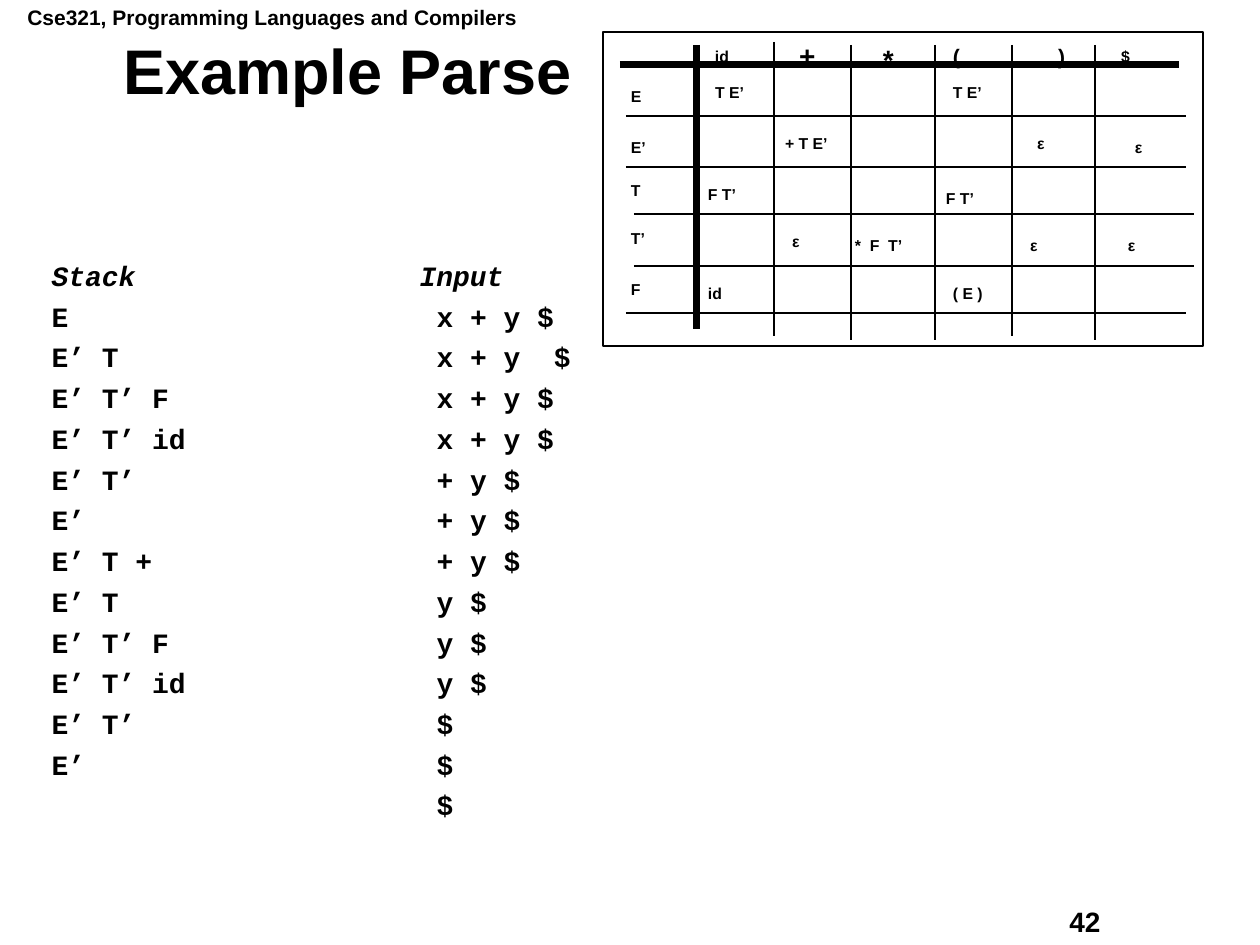
"""Build the Example Parse slide with its LL(1) parse table and stack trace."""
from dataclasses import dataclass

import pptx
import pptx.dml.color
import pptx.enum.shapes
import pptx.enum.text
import pptx.oxml
import pptx.oxml.ns
import pptx.util

PX = 914400 / 126
COLORS = {"ink": "000000", "paper": "FFFFFF"}
CELL_HEIGHTS = {9: 25, 12: 31, 16: 40}


@dataclass
class Cell:
    text: str
    left: int
    top: int
    width: int
    size: int = 9


@dataclass
class Rule:
    x1: int
    y1: int
    x2: int
    y2: int
    weight: int = 1


@dataclass
class Column:
    heading: str
    rows: list[str]
    left: int
    width: int
    indent: int = 0


ROW_HEADS = [
    Cell("E", 625, 83, 24), Cell("E’", 625, 134, 28), Cell("T", 625, 177, 23),
    Cell("T’", 625, 225, 26), Cell("F", 625, 276, 23),
]
COLUMN_HEADS = [
    Cell("id", 709, 43, 26), Cell("+", 793, 35, 29, 16), Cell("*", 877, 39, 24, 16),
    Cell("(", 947, 40, 20, 12), Cell(")", 1052, 40, 20, 12), Cell("$", 1115, 43, 21),
]
ENTRIES = [
    Cell("T E’", 709, 79, 42), Cell("T E’", 947, 79, 42),
    Cell("+ T E’", 779, 130, 55), Cell("ε", 1031, 130, 20), Cell("ε", 1129, 134, 20),
    Cell("F T’", 702, 181, 40), Cell("F T’", 940, 185, 40),
    Cell("ε", 786, 228, 20), Cell("*  F  T’", 849, 232, 60),
    Cell("ε", 1024, 232, 20), Cell("ε", 1122, 232, 20),
    Cell("id", 702, 280, 26), Cell("( E )", 947, 280, 43),
]
AXES = [Rule(697, 45, 697, 329, 4), Rule(620, 65, 1179, 65, 4)]
ROW_RULES = [Rule(x, y, x + 560, y)
             for x, y in [(626, 116), (626, 167), (634, 214), (634, 266), (626, 313)]]
COLUMN_RULES = [Rule(x, top, x, bottom) for x, top, bottom in
                [(774, 42, 336), (851, 45, 340), (935, 45, 340), (1012, 45, 336), (1095, 45, 340)]]
STACK = Column("Stack", ["E", "E’ T", "E’ T’ F", "E’ T’ id", "E’ T’", "E’", "E’ T +",
                         "E’ T", "E’ T’ F", "E’ T’ id", "E’ T’", "E’"], 39, 368)
INPUT = Column("Input", ["x + y $", "x + y  $", "x + y $", "x + y $", "+ y $", "+ y $",
                         "+ y $", "y $", "y $", "y $", "$", "$", "$"], 407, 311, 17)


def px(n: int) -> int:
    return round(n * PX)


def color(name: str) -> pptx.dml.color.RGBColor:
    return pptx.dml.color.RGBColor.from_string(COLORS[name])


def add_run(p, text: str, size: int, font: str = "Arial", italic: bool = False) -> None:
    r = p.add_run()
    r.text = text
    r.font.name = font
    r.font.size = pptx.util.Pt(size)
    r.font.bold = True
    r.font.italic = italic
    r.font.color.rgb = color("ink")


def place(sp, left: int, top: int, width: int, height: int) -> None:
    sp.left, sp.top, sp.width, sp.height = map(px, (left, top, width, height))


def add_label(shapes, text: str, size: int, left: int, top: int, width: int, height: int):
    sp = shapes.add_textbox(*map(px, (left, top, width, height)))
    tf = sp.text_frame
    tf.word_wrap = True
    add_run(tf.paragraphs[0], text, size)
    return tf


def add_cell(shapes, cell: Cell) -> None:
    tf = add_label(shapes, cell.text, cell.size, cell.left, cell.top, cell.width,
                   CELL_HEIGHTS[cell.size])
    tf.word_wrap = False
    tf.margin_left = tf.margin_right = px(6)
    tf.margin_top = tf.margin_bottom = px(4)


def add_rule(shapes, rule: Rule) -> None:
    sp = shapes.add_connector(pptx.enum.shapes.MSO_CONNECTOR.STRAIGHT,
                              *map(px, (rule.x1, rule.y1, rule.x2, rule.y2)))
    sp.line.color.rgb = color("ink")
    sp.line.width = pptx.util.Pt(rule.weight)
    sp._element.spPr.append(pptx.oxml.parse_xml(f"<a:effectLst {pptx.oxml.ns.nsdecls('a')}/>"))


def add_parse_table(s) -> None:
    shapes = s.shapes.add_group_shape().shapes
    sp = shapes.add_shape(pptx.enum.shapes.MSO_SHAPE.RECTANGLE,
                          *map(px, (603, 32, 600, 314)))
    sp.shadow.inherit = False
    sp.fill.solid()
    sp.fill.fore_color.rgb = color("paper")
    sp.line.color.rgb = color("ink")
    sp.line.width = pptx.util.Pt(1)
    for rule in AXES + ROW_RULES + COLUMN_RULES:
        add_rule(shapes, rule)
    for cell in ROW_HEADS + COLUMN_HEADS + ENTRIES:
        add_cell(shapes, cell)


def add_line(p, text: str, space: int, indent: int, italic: bool = False) -> None:
    p.line_spacing = 0.9
    p.space_before = pptx.util.Pt(space)
    pPr = p._p.get_or_add_pPr()
    pPr.set("marL", str(px(indent)))
    pPr.set("indent", "0")
    pPr.append(pptx.oxml.parse_xml(f"<a:buNone {pptx.oxml.ns.nsdecls('a')}/>"))
    add_run(p, text, 16, "Courier New", italic)


def fill_title(sp) -> None:
    place(sp, 39, 39, 617, 71)
    tf = sp.text_frame
    tf.auto_size = pptx.enum.text.MSO_AUTO_SIZE.NONE
    tf.vertical_anchor = pptx.enum.text.MSO_ANCHOR.MIDDLE
    p = tf.paragraphs[0]
    p.alignment = pptx.enum.text.PP_ALIGN.CENTER
    p.line_spacing = 0.9
    add_run(p, "Example Parse", 36)


def fill_column(sp, column: Column) -> None:
    place(sp, column.left, 256, column.width, 611)
    tf = sp.text_frame
    tf.auto_size = pptx.enum.text.MSO_AUTO_SIZE.NONE
    add_line(tf.paragraphs[0], column.heading, 0, 0, italic=True)
    for text in column.rows:
        add_line(tf.add_paragraph(), text, 6, column.indent)


def main() -> None:
    prs = pptx.Presentation()
    prs.slide_width, prs.slide_height = px(1260), px(945)
    s = prs.slides.add_slide(prs.slide_layouts[3])
    fill_title(s.shapes.title)
    fill_column(s.placeholders[1], STACK)
    fill_column(s.placeholders[2], INPUT)
    add_label(s.shapes, "Cse321, Programming Languages and Compilers", 12, 15, -2, 515, 38)
    add_label(s.shapes, "42", 16, 1057, 898, 160, 45)
    add_parse_table(s)
    prs.save("out.pptx")


if __name__ == "__main__":
    main()
